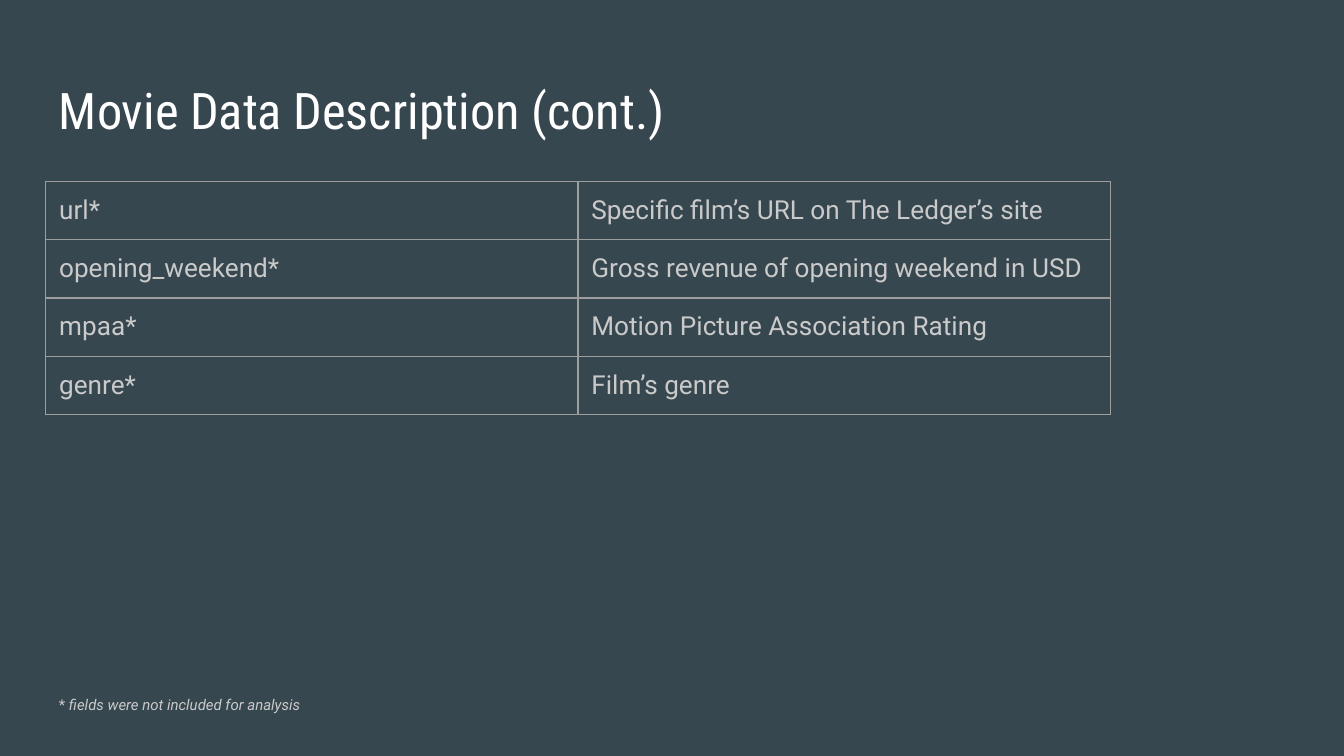
import dataclasses

import pptx
import pptx.dml.color
import pptx.enum.text
import pptx.oxml
import pptx.oxml.ns
import pptx.util
from pptx.util import Inches


@dataclasses.dataclass(frozen=True)
class Theme:
    background: str = "37474F"
    title_color: str = "FFFFFF"
    body_color: str = "CACACA"
    border_color: str = "9E9E9E"
    title_font: str = "Roboto Condensed"
    body_font: str = "Roboto"
    title_size: float = 27
    body_size: float = 14
    note_size: float = 8
    border_width: float = 0.75
    inset: float = 0.1


class SlideBuilder:
    def __init__(self, slide, theme):
        self.slide = slide
        self.theme = theme

    def background(self):
        fill = self.slide.background.fill
        fill.solid()
        fill.fore_color.rgb = pptx.dml.color.RGBColor.from_string(self.theme.background)

    def run(self, paragraph, text, size, font, color, italic=False):
        run = paragraph.add_run()
        run.text = text
        run.font.size = pptx.util.Pt(size)
        run.font.name = font
        run.font.italic = italic
        run.font.color.rgb = pptx.dml.color.RGBColor.from_string(color)

    def insets(self, holder):
        for side in ("left", "top", "right", "bottom"):
            setattr(holder, f"margin_{side}", Inches(self.theme.inset))

    def text_paragraph(self, left, top, width, height):
        shape = self.slide.shapes.add_textbox(
            Inches(left), Inches(top), Inches(width), Inches(height)
        )
        frame = shape.text_frame
        frame.word_wrap = True
        frame.vertical_anchor = pptx.enum.text.MSO_ANCHOR.TOP
        self.insets(frame)
        return frame.paragraphs[0]

    def title(self, text, left, top, width, height):
        theme = self.theme
        paragraph = self.text_paragraph(left, top, width, height)
        self.run(paragraph, text, theme.title_size, theme.title_font, theme.title_color)

    def footnote(self, marker, text, left, top, width, height):
        theme = self.theme
        paragraph = self.text_paragraph(left, top, width, height)
        style = (theme.note_size, theme.body_font, theme.body_color)
        self.run(paragraph, marker, *style)
        self.run(paragraph, text, *style, italic=True)

    def borders(self, cell):
        properties = cell._tc.get_or_add_tcPr()
        namespace = pptx.oxml.ns.nsdecls("a")
        width = pptx.util.Pt(self.theme.border_width)
        for index, side in enumerate(("lnL", "lnR", "lnT", "lnB")):
            line = pptx.oxml.parse_xml(
                f'<a:{side} {namespace} w="{width}"><a:solidFill>'
                f'<a:srgbClr val="{self.theme.border_color}"/>'
                f"</a:solidFill></a:{side}>"
            )
            properties.insert(index, line)

    def table(self, rows, left, top, column_width, row_height):
        theme = self.theme
        column_count = len(rows[0])
        table = self.slide.shapes.add_table(
            len(rows), column_count, Inches(left), Inches(top),
            Inches(column_width * column_count), Inches(row_height * len(rows)),
        ).table
        table.first_row = False
        table.horz_banding = False
        for row_index, row in enumerate(rows):
            for column_index, text in enumerate(row):
                cell = table.cell(row_index, column_index)
                self.insets(cell)
                cell.fill.background()
                self.borders(cell)
                paragraph = cell.text_frame.paragraphs[0]
                self.run(paragraph, text, theme.body_size, theme.body_font, theme.body_color)


def main():
    presentation = pptx.Presentation()
    presentation.slide_width = Inches(10)
    presentation.slide_height = presentation.slide_width * 9 // 16
    slide = presentation.slides.add_slide(presentation.slide_layouts[6])

    builder = SlideBuilder(slide, Theme())
    left = 0.34
    fields = [
        ("url*", "Specific film’s URL on The Ledger’s site"),
        ("opening_weekend*", "Gross revenue of opening weekend in USD"),
        ("mpaa*", "Motion Picture Association Rating"),
        ("genre*", "Film’s genre"),
    ]
    builder.background()
    builder.title("Movie Data Description (cont.)", left, 0.49, 9.32, 0.63)
    builder.table(fields, left, 1.35, column_width=3.96, row_height=0.42)
    builder.footnote("*", " fields were not included for analysis", left, 5.11, 7.5, 0.34)
    presentation.save("out.pptx")


if __name__ == "__main__":
    main()
